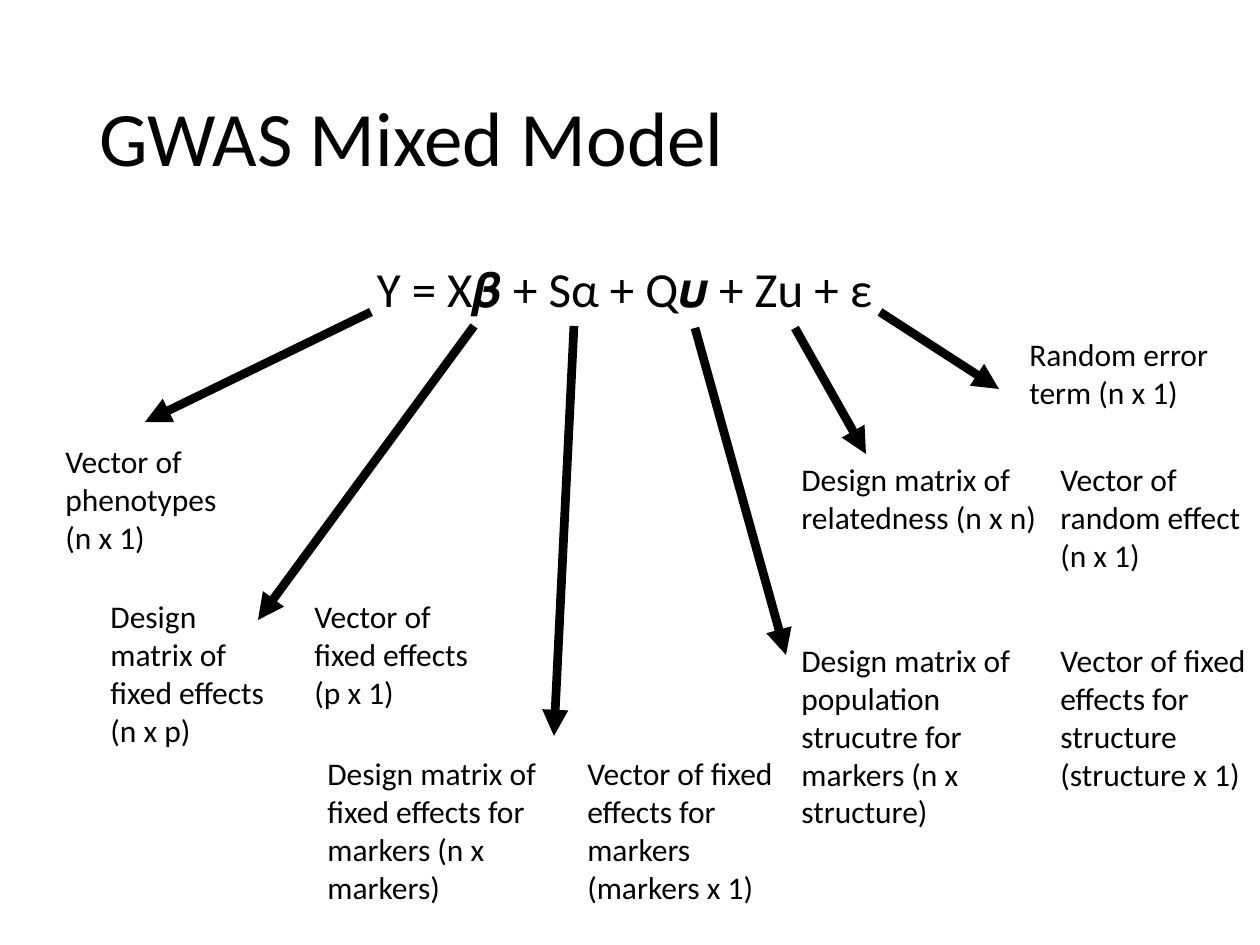
from lxml import etree
from pptx import Presentation
from pptx import util as u
from pptx.dml.color import RGBColor
from pptx.enum import shapes, text
from pptx.oxml.ns import qn

PX = 914400 // 126
COLORS = {"ink": "000000", "paper": "FFFFFF"}


class Board:
    font = "Calibri"
    label_size = 18
    arrow_width = 5

    def __init__(self, prs):
        self.s = prs.slides.add_slide(prs.slide_layouts[6])
        fill = self.s.background.fill
        fill.solid()
        fill.fore_color.rgb = self.color("paper")

    def color(self, name):
        return RGBColor.from_string(COLORS[name])

    def text(self, box, words, size=label_size, align=text.PP_ALIGN.LEFT,
             anchor=text.MSO_ANCHOR.TOP, spacing=1.0):
        sp = self.s.shapes.add_textbox(*(v * PX for v in box))
        tf = sp.text_frame
        tf.word_wrap = True
        tf.vertical_anchor = anchor
        p = tf.paragraphs[0]
        p.alignment = align
        p.line_spacing = spacing
        r = p.add_run()
        r.text = words
        r.font.name = self.font
        r.font.size = u.Pt(size)
        r.font.color.rgb = self.color("ink")

    def arrow(self, start, end):
        cx = self.s.shapes.add_connector(
            shapes.MSO_CONNECTOR.STRAIGHT, *(v * PX for v in start + end))
        cx.line.width = u.Pt(self.arrow_width)
        cx.line.color.rgb = self.color("ink")
        etree.SubElement(cx.line._get_or_add_ln(), qn("a:tailEnd"), type="triangle")
        etree.SubElement(cx._element.spPr, qn("a:effectLst"))


prs = Presentation()
prs.slide_width = 1260 * PX
prs.slide_height = 945 * PX
board = Board(prs)

board.text((87, 50, 1086, 183), "GWAS Mixed Model", 44,
           anchor=text.MSO_ANCHOR.MIDDLE, spacing=0.9)
board.text((87, 252, 1086, 600),
           "Y = X\U0001D737 + Sα + Q\U0001D74A + Zu + ε ", 28,
           align=text.PP_ALIGN.CENTER)

LABELS = [
    ((53, 436, 183, 127), "Vector of phenotypes (n x 1)"),
    ((98, 591, 183, 165), "Design matrix of fixed effects (n x p)"),
    ((302, 591, 183, 127), "Vector of fixed effects (p x 1)"),
    ((315, 748, 272, 165), "Design matrix of fixed effects for markers (n x markers)"),
    ((575, 748, 212, 165), "Vector of fixed effects for markers (markers x 1)"),
    ((789, 635, 272, 204), "Design matrix of population strucutre for markers (n x structure)"),
    ((1048, 635, 212, 165), "Vector of fixed effects for structure (structure x 1)"),
    ((789, 454, 272, 89), "Design matrix of relatedness (n x n)"),
    ((1048, 454, 212, 127), "Vector of random effect (n x 1)"),
    ((1017, 329, 226, 89), "Random error term (n x 1)"),
]
for box, words in LABELS:
    board.text(box, words)

ARROWS = [
    ((371, 312), (145, 422)),
    ((474, 326), (258, 620)),
    ((574, 326), (554, 736)),
    ((695, 328), (786, 655)),
    ((795, 328), (866, 454)),
    ((880, 312), (999, 389)),
]
for start, end in ARROWS:
    board.arrow(start, end)

prs.save("out.pptx")
